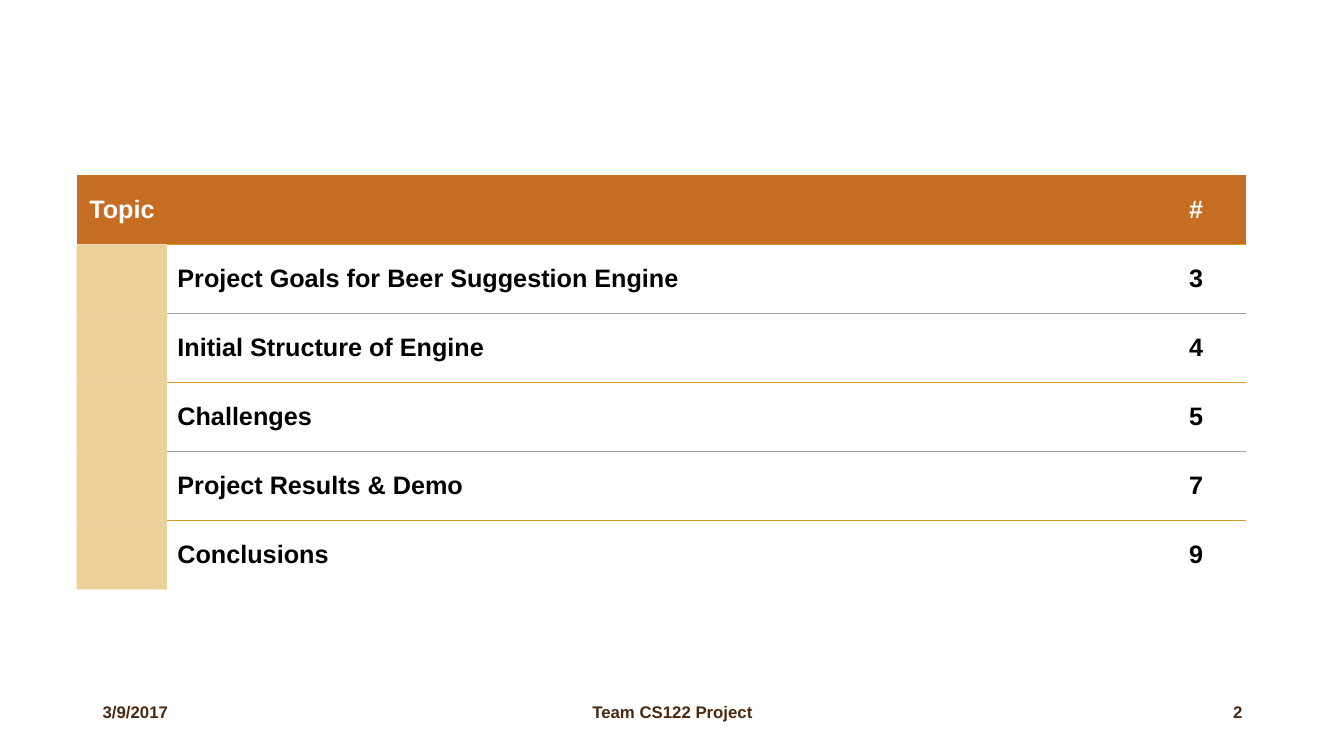
import pptx
import pptx.util
import pptx.dml.color
import pptx.enum.text
import pptx.oxml
import pptx.oxml.ns

Inches, Pt = pptx.util.Inches, pptx.util.Pt
ALIGN = pptx.enum.text.PP_ALIGN
MIDDLE = pptx.enum.text.MSO_ANCHOR.MIDDLE
COLORS = {"header": "C56D23", "gold": "D89C27", "grey": "A0A0A0",
          "white": "FFFFFF", "black": "000000", "footer": "4B2810"}
NO_STYLE = "{2D5ABB26-0587-4C30-8999-92F81FD0307C}"
COLUMNS = [0.9, 9.47, 0.23, 0.99]
ROW_HEIGHT = 0.685
TOPICS = [("Project Goals for Beer Suggestion Engine", "3"),
          ("Initial Structure of Engine", "4"),
          ("Challenges", "5"),
          ("Project Results & Demo", "7"),
          ("Conclusions", "9")]


def rgb(name):
    return pptx.dml.color.RGBColor.from_string(COLORS[name])


def write(tf, text, size, color, align):
    p = tf.paragraphs[0]
    p.text = text
    p.alignment = align
    p.font.name = "Arial"
    p.font.size = Pt(size)
    p.font.bold = True
    p.font.color.rgb = rgb(color)


def fill_cell(cell, color, alpha=100):
    cell.vertical_anchor = MIDDLE
    cell.fill.solid()
    cell.fill.fore_color.rgb = rgb(color)
    if alpha < 100:
        clr = cell._tc.tcPr.find(".//" + pptx.oxml.ns.qn("a:srgbClr"))
        clr.append(pptx.oxml.parse_xml(
            f'<a:alpha {pptx.oxml.ns.nsdecls("a")} val="{alpha * 1000}"/>'))


def rule_cell(cell, side, color):
    cell._tc.get_or_add_tcPr().insert(0, pptx.oxml.parse_xml(
        f'<a:{side} {pptx.oxml.ns.nsdecls("a")} w="12700"><a:solidFill>'
        f'<a:srgbClr val="{COLORS[color]}"/></a:solidFill></a:{side}>'))


def add_agenda(s, left, top):
    count = len(TOPICS) + 1
    frame = s.shapes.add_table(count, len(COLUMNS), Inches(left), Inches(top),
                               Inches(sum(COLUMNS)), Inches(ROW_HEIGHT * count))
    table = frame.table
    table.first_row = table.horz_banding = False
    table._tbl.tblPr.find(pptx.oxml.ns.qn("a:tableStyleId")).text = NO_STYLE
    for column, width in zip(table.columns, COLUMNS):
        column.width = Inches(width)
    for row in table.rows:
        row.height = Inches(ROW_HEIGHT)

    for cell in table.rows[0].cells:
        fill_cell(cell, "header")
    write(table.cell(0, 0).text_frame, "Topic", 18, "white", ALIGN.CENTER)
    write(table.cell(0, 3).text_frame, "#", 18, "white", ALIGN.CENTER)

    for i, (topic, number) in enumerate(TOPICS, 1):
        fill_cell(table.cell(i, 0), "gold", 47)
        for j in range(1, len(COLUMNS)):
            fill_cell(table.cell(i, j), "white")
            color = "gold" if i % 2 else "grey"
            rule_cell(table.cell(i, j), "lnT", color)
            rule_cell(table.cell(i - 1, j), "lnB", color)
        write(table.cell(i, 1).text_frame, topic, 18, "black", ALIGN.LEFT)
        write(table.cell(i, 3).text_frame, number, 18, "black", ALIGN.CENTER)


def add_footer(s, top, height):
    for left, width, text, align in [(0.92, 3, "3/9/2017", ALIGN.LEFT),
                                     (4.42, 4.5, "Team CS122 Project", ALIGN.CENTER),
                                     (9.42, 3, "2", ALIGN.RIGHT)]:
        tf = s.shapes.add_textbox(Inches(left), Inches(top),
                                  Inches(width), Inches(height)).text_frame
        tf.word_wrap = True
        tf.vertical_anchor = MIDDLE
        write(tf, text, 12, "footer", align)


def main():
    prs = pptx.Presentation()
    prs.slide_width, prs.slide_height = Inches(13.33), Inches(7.5)
    s = prs.slides.add_slide(prs.slide_layouts[6])
    add_agenda(s, 0.76, 1.74)
    add_footer(s, 6.86, 0.4)
    prs.save("out.pptx")


if __name__ == "__main__":
    main()
